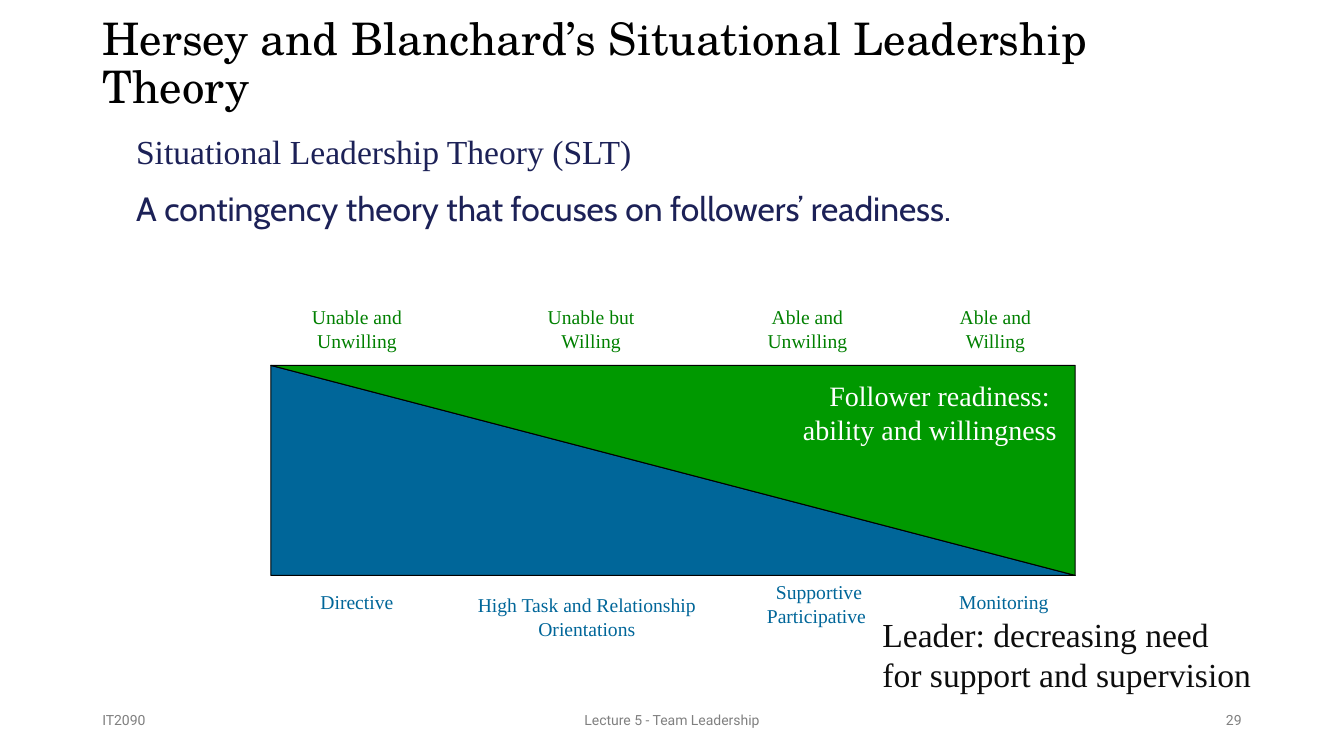
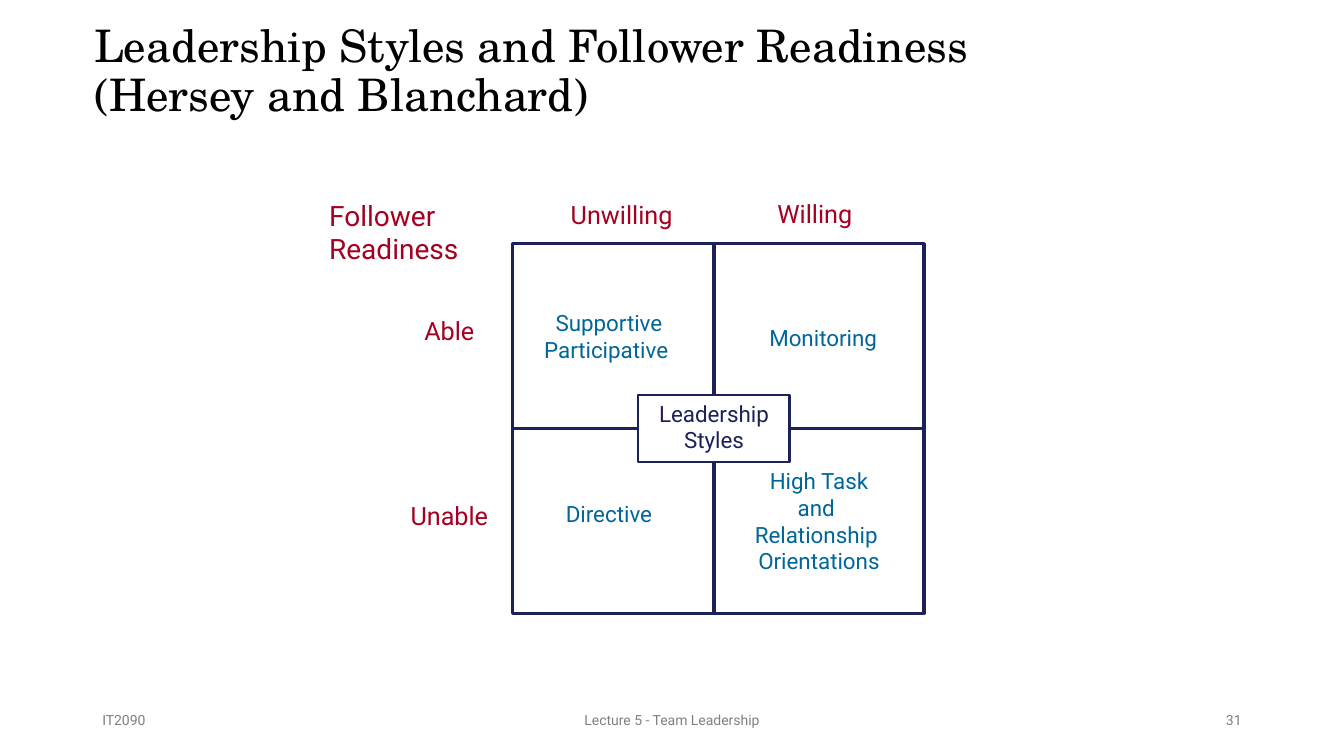
from collections import namedtuple
from copy import deepcopy

from lxml.etree import SubElement
from pptx import Presentation
from pptx.dml.color import RGBColor
from pptx.enum.shapes import MSO_CONNECTOR, MSO_SHAPE
from pptx.enum.text import MSO_ANCHOR, MSO_AUTO_SIZE, PP_ALIGN
from pptx.oxml.ns import qn
from pptx.util import Emu, Pt

PX = 9525  # EMU in one px, at 96 px to the inch
COLORS = {
    "white": "FFFFFF", "black": "000000", "ink": "0D0D0D", "navy": "1C2157",
    "blue": "006699", "green": "009900", "leaf": "008000", "red": "A50021",
    "grey": "808080", "shadow": "44546A",
}
SERIF, SANS = "Times New Roman", "Roboto"
LEFT, CENTER, RIGHT = PP_ALIGN.LEFT, PP_ALIGN.CENTER, PP_ALIGN.RIGHT
TITLE_ONLY, TITLE_AND_BODY = 5, 1

Box = namedtuple("Box", "left top width height")
Style = namedtuple("Style", "font size color align", defaults=(CENTER,))

TITLE = Style("TeX Gyre Schola", 32, "black", LEFT)
FOOTER = Style(SANS, 10, "grey")
READINESS_LABEL = Style(SERIF, 14, "leaf")
LEADER_LABEL = Style(SERIF, 14, "blue")
AXIS_LABEL = Style(SANS, 18, "red")
QUADRANT_LABEL = Style(SANS, 16, "blue")


def rgb(name):
    return RGBColor.from_string(COLORS[name])


def emu(box):
    return [Emu(value * PX) for value in box]


def inside(outer, left, top, width, height):
    """Turn offsets from the corner of outer into a box on the slide."""
    return Box(outer.left + left, outer.top + top, width, height)


def move(shape, box):
    for name, value in zip(Box._fields, emu(box)):
        setattr(shape, name, value)


def set_frame(text_frame, anchor=MSO_ANCHOR.TOP):
    values = {"word_wrap": True, "auto_size": MSO_AUTO_SIZE.NONE,
              "vertical_anchor": anchor}
    for name, value in values.items():
        setattr(text_frame, name, value)


def write(paragraph, text, style):
    """Fill a paragraph, giving its line breaks the size of its runs."""
    paragraph.text = text
    paragraph.alignment = style.align
    values = {"name": style.font, "size": Pt(style.size), "bold": False}
    for run in paragraph.runs:
        for name, value in values.items():
            setattr(run.font, name, value)
        run.font.color.rgb = rgb(style.color)
    properties = paragraph.runs[0]._r.rPr
    for line_break in paragraph._p.findall(qn("a:br")):
        line_break.insert(0, deepcopy(properties))


def add_label(slide, box, text, style, anchor=MSO_ANCHOR.TOP):
    label = slide.shapes.add_textbox(*emu(box))
    set_frame(label.text_frame, anchor)
    write(label.text_frame.paragraphs[0], text, style)
    return label


def add_text_shadow(label):
    for run in label.text_frame.paragraphs[0].runs:
        effects = SubElement(run._r.rPr, qn("a:effectLst"))
        shadow = SubElement(effects, qn("a:outerShdw"),
                            dist="38100", dir="2700000", algn="tl")
        SubElement(shadow, qn("a:srgbClr"), val=COLORS["shadow"])
        run._r.rPr.find(qn("a:solidFill")).addnext(effects)


def add_block(slide, kind, box, fill, line, weight):
    block = slide.shapes.add_shape(kind, *emu(box))
    block.shadow.inherit = False
    block.fill.solid()
    block.fill.fore_color.rgb = rgb(fill)
    block.line.color.rgb = rgb(line)
    block.line.width = Pt(weight)
    return block


def add_divider(slide, *ends):
    divider = slide.shapes.add_connector(MSO_CONNECTOR.STRAIGHT, *emu(ends))
    divider.line.color.rgb = rgb("navy")
    divider.line.width = Pt(2.25)
    SubElement(divider._element.spPr, qn("a:effectLst"))


def add_footer(slide, number):
    parts = [(88, 288, "IT2090", LEFT),
             (424, 432, "Lecture 5 - Team Leadership", CENTER),
             (904, 288, str(number), RIGHT)]
    for left, width, text, align in parts:
        add_label(slide, Box(left, 667, width, 38), text,
                  FOOTER._replace(align=align), MSO_ANCHOR.MIDDLE)


def add_slide(presentation, layout, title, title_box, number):
    slide = presentation.slides.add_slide(presentation.slide_layouts[layout])
    move(slide.shapes.title, title_box)
    text_frame = slide.shapes.title.text_frame
    set_frame(text_frame, MSO_ANCHOR.MIDDLE)
    write(text_frame.paragraphs[0], title, TITLE)
    text_frame.paragraphs[0].line_spacing = 0.9
    add_footer(slide, number)
    return slide


def fill_body(slide, box, lines):
    body = slide.placeholders[1]
    move(body, box)
    set_frame(body.text_frame)
    for index, (text, font) in enumerate(lines):
        paragraph = (body.text_frame.add_paragraph() if index
                     else body.text_frame.paragraphs[0])
        properties = paragraph._p.get_or_add_pPr()
        properties.set("marL", "0")
        properties.set("indent", "0")
        SubElement(properties, qn("a:buNone"))
        write(paragraph, text, Style(font, 24, "navy", LEFT))
        paragraph.space_before = Pt(12 if index else 0)


def add_readiness_diagram(slide, box):
    """Two triangles that share a diagonal, with labels above and below."""
    for fill, rotation in [("blue", 0), ("green", 180)]:
        triangle = add_block(slide, MSO_SHAPE.RIGHT_TRIANGLE, box, fill, "black", 0.75)
        triangle.rotation = rotation

    follower_labels = [(6, 152, "Unable and\nUnwilling"),
                       (225, 160, "Unable but\nWilling"),
                       (451, 120, "Able and\nUnwilling"),
                       (630, 120, "Able and\nWilling")]
    for left, width, text in follower_labels:
        add_label(slide, inside(box, left, -62, width, 55), text, READINESS_LABEL)

    leader_labels = [(6, 9, 152, 32, "Directive"),
                     (157, 12, 288, 55, "High Task and Relationship Orientations"),
                     (438, 0, 168, 55, "Supportive Participative "),
                     (614, 9, 168, 32, "Monitoring")]
    for left, gap, width, height, text in leader_labels:
        add_label(slide, inside(box, left, box.height + gap, width, height),
                  text, LEADER_LABEL)

    captions = [((446, 8, 312, 74), "Follower readiness: \nability and willingness",
                 Style(SERIF, 20, "white", RIGHT)),
                ((573, 232, 440, 87), "Leader: decreasing need \nfor support and supervision",
                 Style(SERIF, 24, "ink", LEFT))]
    for place, text, style in captions:
        add_text_shadow(add_label(slide, inside(box, *place), text, style))


def add_style_matrix(slide, box):
    """Four quadrants of leadership styles, with the axes of readiness."""
    add_block(slide, MSO_SHAPE.RECTANGLE, box, "white", "navy", 2.25)
    right, bottom = box.left + box.width, box.top + box.height
    middle_x, middle_y = box.left + 192, box.top + box.height // 2
    add_divider(slide, box.left, middle_y, right, middle_y)
    add_divider(slide, middle_x, box.top, middle_x, bottom)

    labels = [
        ((-184, -48, 176, 74), "Follower Readiness", Style(SANS, 20, "red", LEFT)),
        ((16, -47, 176, 38), "Unwilling", AXIS_LABEL),
        ((200, -48, 176, 38), "Willing", AXIS_LABEL),
        ((-112, 64, 104, 38), "Able", AXIS_LABEL),
        ((-112, 240, 104, 38), "Unable", AXIS_LABEL),
        ((16, 58, 152, 61), "Supportive Participative ", QUADRANT_LABEL),
        ((224, 72, 144, 35), "Monitoring", QUADRANT_LABEL),
        ((16, 240, 152, 35), "Directive", QUADRANT_LABEL),
        ((204, 208, 176, 112), "High Task\nand \nRelationship \nOrientations",
         QUADRANT_LABEL),
    ]
    for place, text, style in labels:
        add_label(slide, inside(box, *place), text, style)

    width, height = 144, 64
    center = Box(middle_x - width // 2, middle_y - height // 2, width, height)
    hub = add_block(slide, MSO_SHAPE.RECTANGLE, center, "white", "navy", 1.5)
    set_frame(hub.text_frame)
    write(hub.text_frame.paragraphs[0], "Leadership\nStyles",
          QUADRANT_LABEL._replace(color="navy"))


def build_theory_slide(presentation):
    slide = add_slide(presentation, TITLE_AND_BODY,
                      "Hersey and Blanchard’s Situational Leadership Theory",
                      Box(88, 10, 1072, 104), 29)
    fill_body(slide, Box(120, 120, 1088, 107), [
        ("Situational Leadership Theory (SLT)", SERIF),
        ("A contingency theory that focuses on followers’ readiness.", "Cabin"),
    ])
    add_readiness_diagram(slide, Box(258, 348, 766, 200))


def build_matrix_slide(presentation):
    slide = add_slide(presentation, TITLE_ONLY,
                      "Leadership Styles and Follower Readiness\n(Hersey and Blanchard)",
                      Box(80, 13, 1136, 112), 31)
    add_style_matrix(slide, Box(488, 232, 392, 352))


def main():
    presentation = Presentation()
    presentation.slide_width, presentation.slide_height = emu((1280, 720))
    build_theory_slide(presentation)
    build_matrix_slide(presentation)
    presentation.save("out.pptx")


if __name__ == "__main__":
    main()
